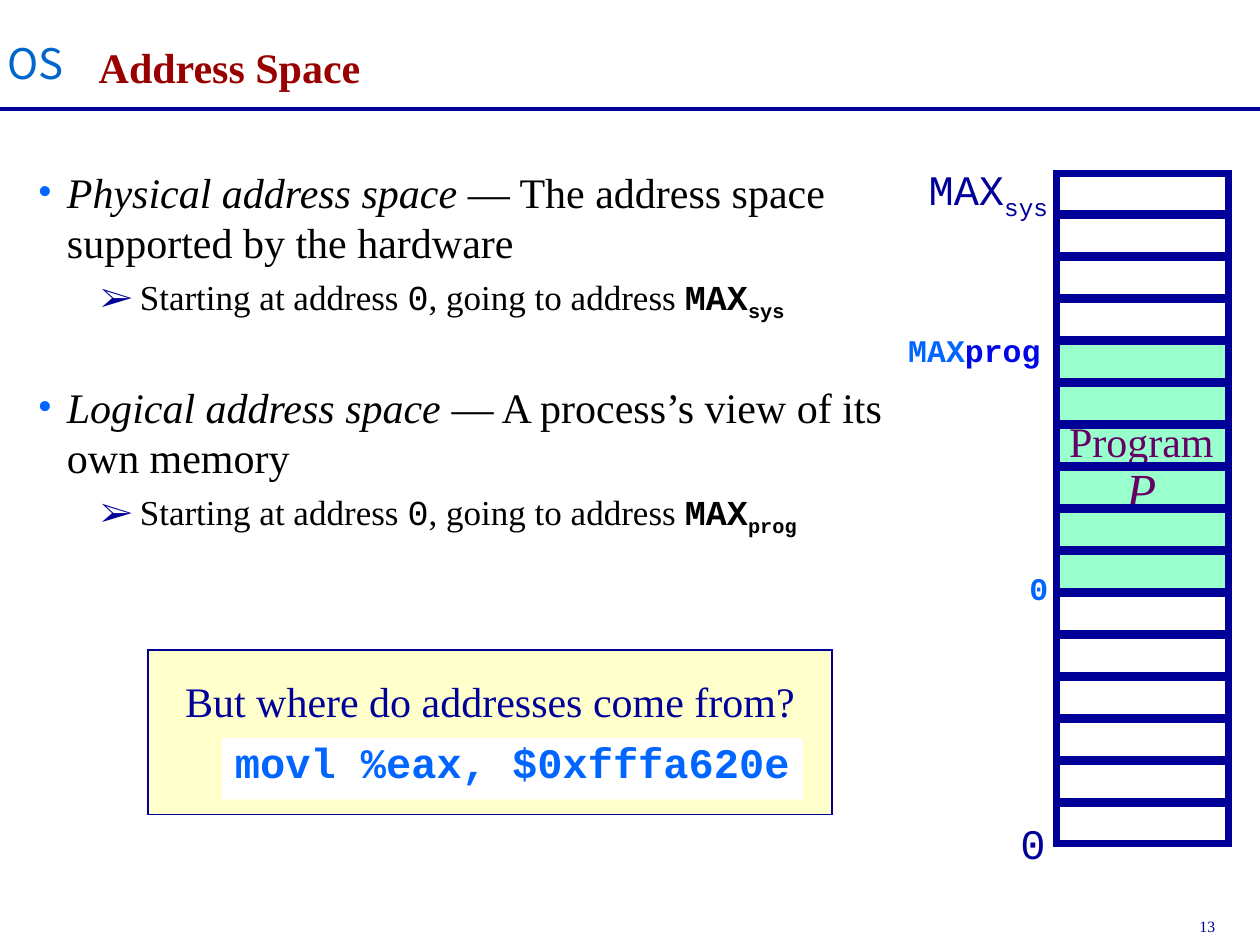
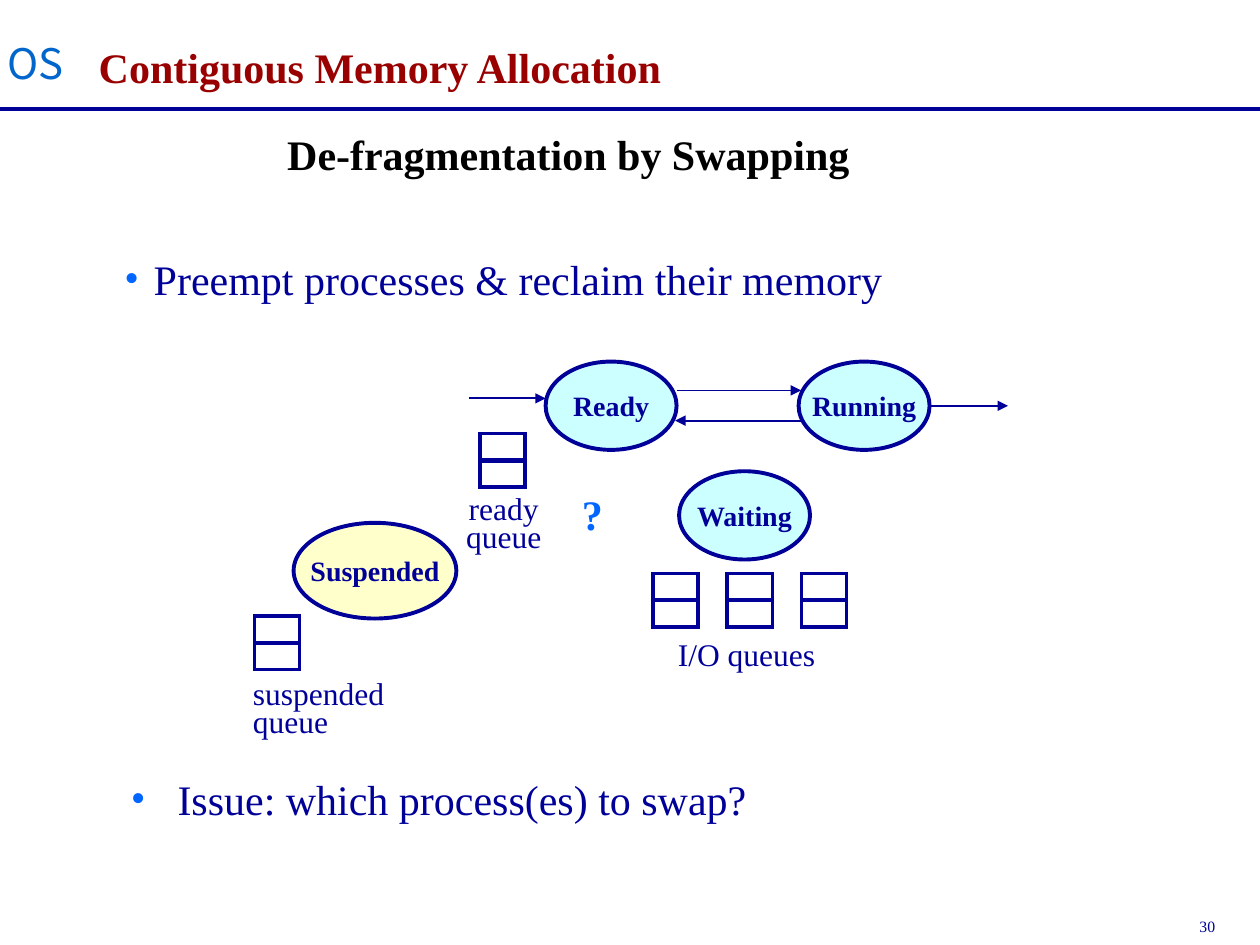
"""Build two operating-systems slides: address spaces and memory swapping."""
from lxml import etree
from pptx import Presentation
from pptx.dml.color import RGBColor
from pptx.enum.shapes import MSO_CONNECTOR, MSO_SHAPE
from pptx.enum.text import MSO_ANCHOR, PP_ALIGN
from pptx.oxml.ns import qn
from pptx.util import Cm, Pt

RECTANGLE, OVAL = MSO_SHAPE.RECTANGLE, MSO_SHAPE.OVAL
STRAIGHT = MSO_CONNECTOR.STRAIGHT
LEFT, CENTER = PP_ALIGN.LEFT, PP_ALIGN.CENTER
TOP, MIDDLE, BOTTOM = MSO_ANCHOR.TOP, MSO_ANCHOR.MIDDLE, MSO_ANCHOR.BOTTOM

NAVY, BLUE, RED, BLACK, WHITE = "000099", "0066FF", "990000", "000000", "FFFFFF"
CREAM, MINT, AQUA, PURPLE = "FFFFCC", "99FFCC", "CCFFFF", "660066"
SERIF, MONO = "Times New Roman", "Courier New"

BASE = {"name": SERIF, "size": 24, "color": NAVY}
MONO_TEXT = {"name": MONO}
MONO_BOLD = {"name": MONO, "bold": True}
SUBSCRIPT = {"baseline": -25000}
PROGRAM_MARK = {**MONO_BOLD, "size": 18, "color": BLUE}
QUEUE_TEXT = {"size": 18}
STATE_TEXT = {"size": 16, "bold": True}
TAG_TEXT = {"name": "Noto Sans CJK SC", "color": "0066CC"}

TOPIC = {"bullet": "•", "bullet_color": BLUE, "margin": 0.59, "indent": -0.59}
DETAIL = {"bullet": "➢", "bullet_color": NAVY, "margin": 2.06, "indent": -0.79,
          "space_before": 4.5}
ISSUE = {**TOPIC, "margin": 0.94, "indent": -0.94}
CENTERED = {"alignment": CENTER}
TIGHT = {"line_spacing": 0.75}
TIGHT_CENTERED = {**TIGHT, **CENTERED}

SPACES = [
    ("Physical address space ", "— The address space supported by the hardware", "sys", 0),
    ("Logical address space ", "— A process’s view of its own memory", "prog", 33.5),
]
ADDRESS_LABELS = [
    ((20.32, 16.36, 1.02, 1.27), [("0", MONO_TEXT)]),
    ((18.47, 3.18, 2.92, 1.4), [("MAX", MONO_TEXT), ("sys", {**MONO_TEXT, **SUBSCRIPT})]),
    ((20.5, 11.35, 0.89, 1.02), [("0", PROGRAM_MARK)]),
    ((18.06, 6.55, 3.18, 1.02),
     [("MAX", PROGRAM_MARK), ("prog", {**PROGRAM_MARK, "color": "0007E7"})]),
]
MEMORY_LEFT, MEMORY_TOP, MEMORY_WIDTH = 21.29, 3.5, 3.48
ROW_COUNT, ROW_PITCH, ROW_HEIGHT = 16, 12.7 / 15, 0.81
PROGRAM_FIRST, PROGRAM_ROWS = 4, 6

STATES = [
    ("Suspended", (5.92, 10.54, 3.28, 1.93), CREAM),
    ("Waiting", (13.69, 9.5, 2.64, 1.78), AQUA),
    ("Running", (16.1, 7.29, 2.64, 1.78), AQUA),
    ("Ready", (11, 7.29, 2.64, 1.78), AQUA),
]
QUEUES = [(5.13, 12.42), (9.68, 8.74)] + [(13.16 + 1.5 * i, 11.56) for i in range(3)]
QUEUE_LABELS = [
    (["suspended", "queue"], (4.85, 13.64, 3.15, 1.4), TIGHT),
    (["ready", "queue"], (9.14, 9.91, 2.03, 1.4), TIGHT_CENTERED),
    (["I/O queues"], (13.41, 12.85, 3.28, 0.81), TIGHT_CENTERED),
]
ARROWS = [
    (9.45, 8.03, 11, 8.03),
    (13.64, 7.87, 16.15, 7.87),
    (16.15, 8.48, 13.61, 8.48),
    (18.75, 8.18, 20.32, 8.18),
]


def rgb(color):
    return RGBColor.from_string(color)


def lengths(values):
    return [Cm(value) for value in values]


def add_bullet(paragraph, layout):
    properties = paragraph._p.get_or_add_pPr()
    properties.set("marL", str(Cm(layout["margin"])))
    properties.set("indent", str(Cm(layout["indent"])))
    color = etree.SubElement(properties, qn("a:buClr"))
    etree.SubElement(color, qn("a:srgbClr"), val=layout["bullet_color"])
    etree.SubElement(properties, qn("a:buFont"), typeface=SERIF)
    etree.SubElement(properties, qn("a:buChar"), char=layout["bullet"])


def add_run(paragraph, text, changes):
    values = {**BASE, **changes}
    run = paragraph.add_run()
    run.text = text
    run.font.color.rgb = rgb(values.pop("color"))
    baseline = values.pop("baseline", None)
    if baseline:
        run._r.get_or_add_rPr().set("baseline", str(baseline))
    values["size"] = Pt(values["size"])
    for attribute, value in values.items():
        setattr(run.font, attribute, value)


def write(shape, paragraphs, wrap=False, anchor=TOP, side_margin=0.25):
    frame = shape.text_frame
    frame.word_wrap, frame.vertical_anchor = wrap, anchor
    frame.margin_left = frame.margin_right = Cm(side_margin)
    for index, (runs, layout) in enumerate(paragraphs):
        paragraph = frame.add_paragraph() if index else frame.paragraphs[0]
        if "bullet" in layout:
            add_bullet(paragraph, layout)
        paragraph.alignment = layout.get("alignment", LEFT)
        paragraph.line_spacing = layout.get("line_spacing")
        if layout.get("space_before"):
            paragraph.space_before = Pt(layout["space_before"])
        for text, changes in runs:
            add_run(paragraph, text, changes)


def add_text(slide, box, paragraphs, **options):
    write(slide.shapes.add_textbox(*lengths(box)), paragraphs, **options)


def add_figure(slide, kind, box, fill=None, line_width=None):
    shape = slide.shapes.add_shape(kind, *lengths(box))
    shape.shadow.inherit = False
    if fill:
        shape.fill.solid()
        shape.fill.fore_color.rgb = rgb(fill)
    else:
        shape.fill.background()
    if line_width:
        shape.line.color.rgb = rgb(NAVY)
        shape.line.width = Pt(line_width)
        etree.SubElement(shape.line._get_or_add_ln(), qn("a:miter"), lim="800000")
    else:
        shape.line.fill.background()
    return shape


def add_line(slide, ends, width, arrow=False):
    connector = slide.shapes.add_connector(STRAIGHT, *lengths(ends))
    connector.line.color.rgb = rgb(NAVY)
    connector.line.width = Pt(width)
    if arrow:
        etree.SubElement(connector.line._get_or_add_ln(), qn("a:tailEnd"), type="triangle")
    etree.SubElement(connector._element.spPr, qn("a:effectLst"))


def add_slide(presentation, title, number):
    slide = presentation.slides.add_slide(presentation.slide_layouts[6])
    add_text(slide, (23.93, 18.36, 1.83, 0.64), [([(number, {"size": 9})], {})])
    add_line(slide, (0, 2.2, 25.4, 2.2), 2.25)
    add_text(slide, (0, 0.64, 1.42, 1.27), [([("OS", TAG_TEXT)], CENTERED)], side_margin=0)
    add_text(slide, (1.74, 0.33, 22.1, 1.64),
             [([(title, {"bold": True, "color": RED})], {})], wrap=True, anchor=BOTTOM)
    return slide


def space_paragraphs():
    black, small = {"color": BLACK}, {"color": BLACK, "size": 20}
    maximum = {**small, **MONO_BOLD}
    for term, meaning, limit, gap in SPACES:
        yield ([(term, {**black, "italic": True}), (meaning, black)],
               {**TOPIC, "space_before": gap})
        yield ([("Starting at address ", small), ("0", {**small, **MONO_TEXT}),
                (", going to address ", small), ("MAX", maximum),
                (limit, {**maximum, **SUBSCRIPT})], DETAIL)


def add_memory(slide):
    add_figure(slide, RECTANGLE, (MEMORY_LEFT, 3.48, 3.53, 13.54), WHITE, 1)
    add_figure(slide, RECTANGLE, (MEMORY_LEFT, MEMORY_TOP + PROGRAM_FIRST * ROW_PITCH,
                                  MEMORY_WIDTH, PROGRAM_ROWS * ROW_PITCH), MINT)
    label = {**CENTERED, "line_spacing": 0.9}
    add_text(slide, (20.98, 8.36, 4.06, 2.24),
             [([("Program", {"color": PURPLE})], label),
              ([("P", {"color": PURPLE, "size": 28, "italic": True})], label)], wrap=True)
    for row in range(ROW_COUNT):
        add_figure(slide, RECTANGLE, (MEMORY_LEFT, MEMORY_TOP + row * ROW_PITCH,
                                      MEMORY_WIDTH, ROW_HEIGHT), line_width=4)
    for box, runs in ADDRESS_LABELS:
        add_text(slide, box, [(runs, {})])


def build_address_space(presentation):
    slide = add_slide(presentation, "Address Space", "13")
    add_text(slide, (0.51, 3.23, 18.24, 9.5), space_paragraphs(), wrap=True)
    add_memory(slide)
    add_figure(slide, RECTANGLE, (2.98, 13.11, 13.79, 3.31), CREAM, 1)
    add_figure(slide, RECTANGLE, (4.47, 14.88, 11.71, 1.24), WHITE)
    add_text(slide, (4.47, 14.73, 11.71, 1.27),
             [([("movl %eax, $0xfffa620e", {**MONO_BOLD, "color": BLUE})], CENTERED)],
             wrap=True)
    add_text(slide, (3.48, 13.49, 12.8, 1.27),
             [([("But where do addresses come from?", {})], CENTERED)])


def build_swapping(presentation):
    slide = add_slide(presentation, "Contiguous Memory Allocation", "30")
    add_text(slide, (2.26, 4.98, 21.03, 10.19),
             [([("Preempt processes & reclaim their memory", {})], TOPIC)], wrap=True)
    for name, box, fill in STATES:
        state = add_figure(slide, OVAL, box, fill, 2.25)
        write(state, [([(name, STATE_TEXT)], CENTERED)], anchor=MIDDLE)
    for left, top in QUEUES:
        for slot in range(2):
            add_figure(slide, RECTANGLE, (left, top + 0.55 * slot, 0.91, 0.53), line_width=2)
    for words, box, layout in QUEUE_LABELS:
        add_text(slide, box, [([(word, QUEUE_TEXT)], layout) for word in words])
    for ends in ARROWS:
        add_line(slide, ends, 1, arrow=True)
    add_text(slide, (11.48, 9.73, 0.91, 1.27),
             [([("?", {"bold": True, "color": BLUE})], {})])
    add_text(slide, (2.39, 15.47, 21.03, 2.18),
             [([("Issue: which process(es) to swap?", {})], ISSUE)], wrap=True)
    add_text(slide, (5.54, 2.46, 11.84, 1.27),
             [([("De-fragmentation by Swapping", {"bold": True, "color": BLACK})], {})])


def main():
    presentation = Presentation()
    presentation.slide_width, presentation.slide_height = Cm(25.4), Cm(19.05)
    build_address_space(presentation)
    build_swapping(presentation)
    presentation.save("out.pptx")


if __name__ == "__main__":
    main()
